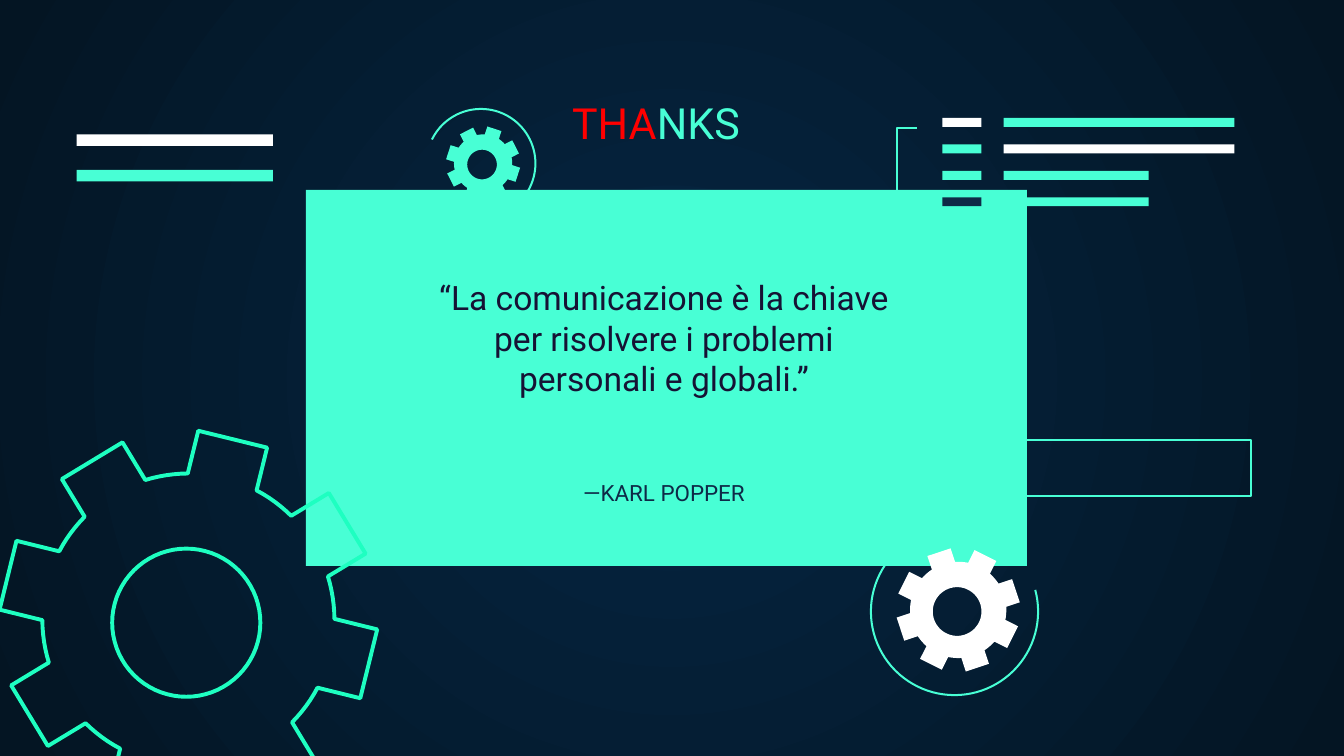
import math
import pptx
import pptx.util
import pptx.dml.color
import pptx.enum.shapes
import pptx.enum.text
import pptx.oxml
import pptx.oxml.ns

Cm, Pt = pptx.util.Cm, pptx.util.Pt
SHAPE = pptx.enum.shapes.MSO_SHAPE
ANCHOR = pptx.enum.text.MSO_ANCHOR

COLORS = {"glow": "052643", "edge": "041523", "mint": "48FFD5", "green": "1EFFC1",
          "white": "FFFFFF", "navy": "0E2A47", "ink": "161234", "red": "FF0000"}
FONT = "Roboto"
THIN, THICK = 1.09, 2.1
TEETH = 8

PANEL = (5.78, 3.59, 13.63, 7.11)
FRAME = (18.29, 8.32, 5.36, 1.06)
BRACKET = [(17.35, 3.96), (16.95, 3.96), (16.95, 2.42), (17.33, 2.42)]

ARCS = [
    {"center": (9.09, 3.09), "radius": 1.03, "start": 206, "end": 96},
    {"center": (18.04, 11.56), "radius": 1.58, "start": 345, "end": 234},
]
GEARS = [
    {"center": (3.56, 11.71), "tip": 3.51, "base": 2.76, "half": 0.67, "angle": 13.8,
     "hole": (3.52, 11.77), "hole_radius": 1.4, "line": "green"},
    {"center": (18.11, 11.53), "tip": 1.15, "base": 0.91, "half": 0.23, "angle": 26.6,
     "hole": (18.09, 11.56), "hole_radius": 0.46, "fill": "white"},
    {"center": (9.13, 3.09), "tip": 0.69, "base": 0.55, "half": 0.14, "angle": 18,
     "hole": (9.11, 3.11), "hole_radius": 0.28, "fill": "mint"},
]

LIST_TOP, LIST_STEP, LIST_HEIGHT = 2.23, 0.5, 0.17
MARK_LEFT, MARK_WIDTH, ITEM_LEFT = 17.81, 0.74, 18.97
LIST_ROWS = [("white", "mint", 4.36), ("mint", "white", 4.36),
             ("mint", "mint", 2.74), ("navy", "mint", 2.74)]
STRIPES = [("white", 2.54), ("mint", 3.21)]
STRIPE_LEFT, STRIPE_WIDTH, STRIPE_HEIGHT = 1.45, 3.71, 0.22

TEXTS = [
    ((7.65, 4.43, 9.8, 5.38), ANCHOR.BOTTOM, [("—KARL POPPER", 12, "navy")]),
    ((7.75, 4.99, 9.6, 3.94), ANCHOR.TOP,
     [("“La comunicazione è la chiave per risolvere i problemi personali e globali.”",
       18, "ink")]),
    ((6.57, 1.09, 11.66, 1.96), ANCHOR.BOTTOM,
     [("THA", 23, "red"), ("NKS", 23, "mint")]),
]


def rgb(name):
    return pptx.dml.color.RGBColor.from_string(COLORS[name])


def paint(sp, fill=None, line=None, width=THIN):
    sp.shadow.inherit = False
    if fill:
        sp.fill.solid()
        sp.fill.fore_color.rgb = rgb(fill)
    else:
        sp.fill.background()
    if line:
        sp.line.color.rgb = rgb(line)
        sp.line.width = Pt(width)
    else:
        sp.line.fill.background()


def add_preset(s, shape, box, **style):
    sp = s.shapes.add_shape(shape, *map(Cm, box))
    paint(sp, **style)
    return sp


def add_outline(s, contours, closed, **style):
    points = [[(Cm(x), Cm(y)) for x, y in c] for c in contours]
    fb = s.shapes.build_freeform(*points[0][0])
    for i, c in enumerate(points):
        if i:
            fb.move_to(*c[0])
        fb.add_line_segments(c[1:], close=closed)
    paint(fb.convert_to_shape(), **style)


def polar(center, radius, angle):
    return center[0] + radius * math.cos(angle), center[1] + radius * math.sin(angle)


def add_gear(s, gear):
    step = 2 * math.pi / TEETH
    root = math.asin(gear["half"] / gear["base"])
    corner = math.atan(gear["half"] / gear["tip"])
    reach = math.hypot(gear["half"], gear["tip"])
    gap = step - 2 * root
    rim = []
    for i in range(TEETH):
        a = math.radians(gear["angle"]) + i * step
        rim += [polar(gear["center"], reach, a - corner), polar(gear["center"], reach, a + corner)]
        rim += [polar(gear["center"], gear["base"], a + root + gap * j / 6) for j in range(7)]
    hole = [polar(gear["hole"], gear["hole_radius"], 2 * math.pi * i / 72) for i in range(72)]
    add_outline(s, [rim, hole], True, fill=gear.get("fill"), line=gear.get("line"), width=THICK)


def add_arc(s, arc):
    (x, y), r = arc["center"], arc["radius"]
    sp = add_preset(s, SHAPE.ARC, (x - r, y - r, 2 * r, 2 * r), line="mint")
    for i, key in enumerate(("start", "end")):
        sp.adjustments[i] = arc[key] * 0.6


def add_text(s, box, anchor, runs):
    tf = s.shapes.add_textbox(*map(Cm, box)).text_frame
    tf.word_wrap = True
    tf.vertical_anchor = anchor
    tf.margin_left = tf.margin_right = tf.margin_top = tf.margin_bottom = Cm(0.25)
    p = tf.paragraphs[0]
    p.alignment = pptx.enum.text.PP_ALIGN.CENTER
    for text, size, color in runs:
        r = p.add_run()
        r.text = text
        r.font.name = FONT
        r.font.size = Pt(size)
        r.font.color.rgb = rgb(color)


def set_background(s):
    fill = s.background.fill
    fill.gradient()
    for stop, color, position in zip(fill.gradient_stops, ("glow", "edge"), (0, 1)):
        stop.color.rgb = rgb(color)
        stop.position = position
    grad = s.element.xpath(".//a:gradFill")[0]
    lin = grad.find(pptx.oxml.ns.qn("a:lin"))
    grad.replace(lin, pptx.oxml.parse_xml(
        '<a:path %s path="circle"><a:fillToRect l="50000" t="50000" r="50000" b="50000"/></a:path>'
        % pptx.oxml.ns.nsdecls("a")))


def main():
    prs = pptx.Presentation()
    prs.slide_width, prs.slide_height = Cm(25.4), Cm(14.29)
    s = prs.slides.add_slide(prs.slide_layouts[6])
    set_background(s)
    add_preset(s, SHAPE.RECTANGLE, PANEL, fill="mint")
    for arc in ARCS:
        add_arc(s, arc)
    for gear in GEARS:
        add_gear(s, gear)
    for i, (mark, item, width) in enumerate(LIST_ROWS):
        top = LIST_TOP + i * LIST_STEP
        add_preset(s, SHAPE.RECTANGLE, (MARK_LEFT, top, MARK_WIDTH, LIST_HEIGHT), fill=mark)
        add_preset(s, SHAPE.RECTANGLE, (ITEM_LEFT, top, width, LIST_HEIGHT), fill=item)
    add_outline(s, [BRACKET], False, line="mint")
    for color, top in STRIPES:
        add_preset(s, SHAPE.RECTANGLE, (STRIPE_LEFT, top, STRIPE_WIDTH, STRIPE_HEIGHT), fill=color)
    add_preset(s, SHAPE.RECTANGLE, FRAME, line="mint")
    for box, anchor, runs in TEXTS:
        add_text(s, box, anchor, runs)
    prs.save("out.pptx")


if __name__ == "__main__":
    main()
